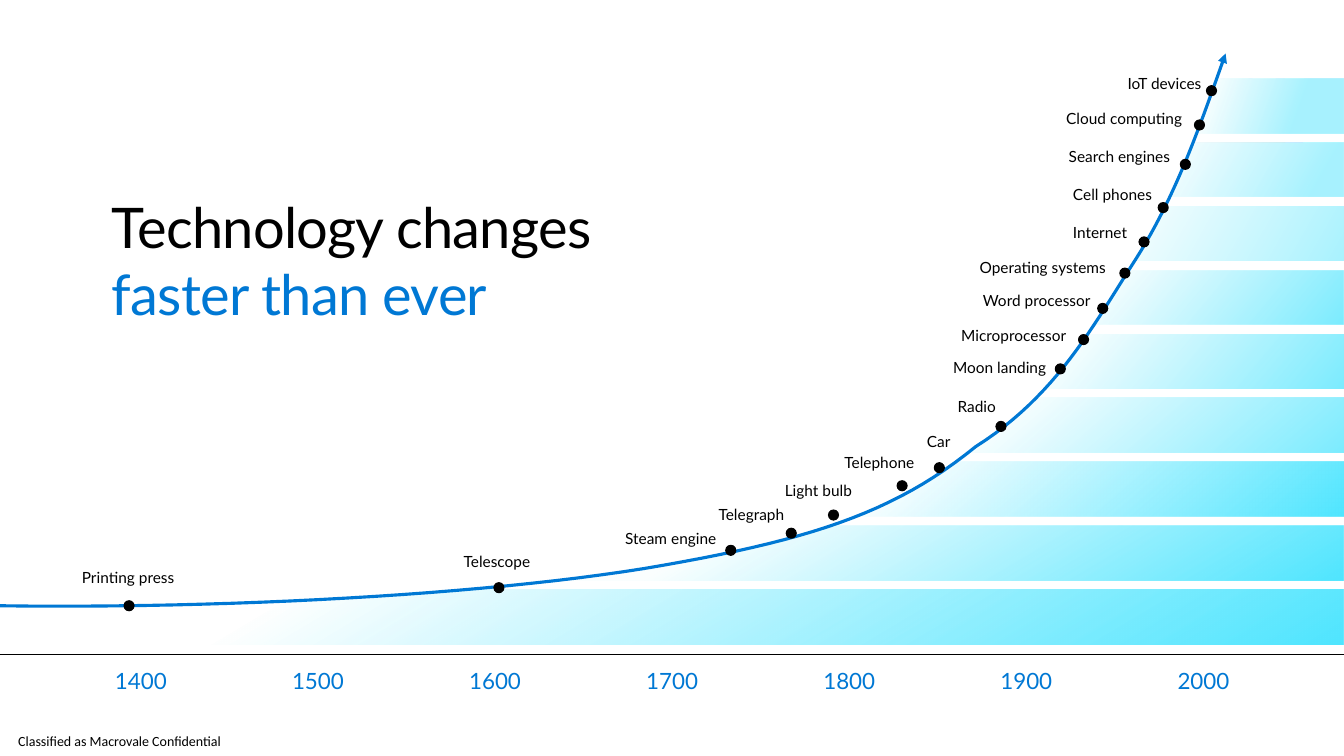
from dataclasses import dataclass

from lxml import etree
from pptx import Presentation
from pptx.dml.color import RGBColor
from pptx.enum import shapes, text
from pptx.oxml import ns
from pptx.util import Pt

WIDTH, HEIGHT = 960, 540
BLACK, BLUE, CYAN, WHITE = "000000", "0078D4", "50E6FF", "FFFFFF"
LEFT, CENTER, RIGHT = text.PP_ALIGN.LEFT, text.PP_ALIGN.CENTER, text.PP_ALIGN.RIGHT
BAR_TOP, BAR_PITCH, BAR_HEIGHT = 56.2, 45.63, 38.9
DOT_SIZE = 7.2
AXIS_Y = 467.3
CURVE_STEPS = 24


@dataclass
class Band:
    left: float
    angle: int
    start: int
    start_alpha: int
    stop: int
    stop_alpha: int


@dataclass
class Milestone:
    name: str
    dot_x: float
    dot_y: float
    label_x: float
    label_y: float
    label_width: float
    align: text.PP_ALIGN = RIGHT


@dataclass
class Span:
    words: str
    size: float
    color: str
    font: str = "Lato"
    spacing: int = 0


BANDS = [
    Band(851.8, 20, 15, 5, 68, 50),
    Band(834.5, 30, 7, 5, 83, 50),
    Band(810, 30, 0, 4, 100, 50),
    Band(779.5, 40, 9, 4, 100, 75),
    Band(747.4, 40, 9, 3, 100, 75),
    Band(687.4, 50, 14, 3, 100, 75),
    Band(609.1, 50, 11, 2, 100, 100),
    Band(373.7, 60, 23, 2, 100, 100),
    Band(0, 60, 21, 0, 100, 100),
]

MILESTONES = [
    Milestone("Printing press", 88.6, 429.1, 38.2, 406.1, 106.6, CENTER),
    Milestone("Telescope", 352.8, 416.2, 301.7, 394.6, 106.6, CENTER),
    Milestone("Steam engine", 518.4, 389.5, 439.2, 378, 79.9, CENTER),
    Milestone("Telegraph", 561.6, 377.3, 488.9, 360.7, 95.8, CENTER),
    Milestone("Light bulb", 591.8, 364.3, 551.5, 343.4, 66.2, CENTER),
    Milestone("Telephone", 640.8, 343.4, 598.3, 324, 59.8, CENTER),
    Milestone("Car", 667.4, 330.5, 656.6, 308.9, 22.3),
    Milestone("Radio", 711.4, 301, 676.1, 283.7, 35.3),
    Milestone("Moon landing", 753.8, 259.9, 659.5, 255.6, 87.8),
    Milestone("Microprocessor", 770.4, 239, 673.9, 232.6, 87.8),
    Milestone("Word processor", 784.1, 216.7, 691.2, 208.1, 87.8),
    Milestone("Operating systems", 799.9, 191.5, 687.6, 184.3, 102.4),
    Milestone("Internet", 813.6, 169.2, 735.1, 159.1, 70),
    Milestone("Cell phones", 827.3, 144.7, 750.2, 132.5, 72.7),
    Milestone("Search engines", 843.1, 113.8, 753.8, 105.1, 82.1),
    Milestone("Cloud computing", 853.2, 85.7, 756.7, 77.8, 87.8),
    Milestone("IoT devices", 861.8, 61.2, 770.4, 53.3, 87.8),
]

CURVE = [
    (0, 432.7), (162, 434.9), (344.2, 424.8), (460.1, 406.1),
    (576, 386.6), (637.9, 367.2), (697, 319),
    (755.3, 282.2), (781.2, 231.8), (811.4, 185),
    (841, 138.2), (857.5, 88.6), (875.5, 38.2),
]


def paint(color_format, value: str) -> None:
    color_format.rgb = RGBColor.from_string(value)


def style(shape, fill: str, line: str, weight: float) -> None:
    shape.shadow.inherit = False
    shape.fill.solid()
    paint(shape.fill.fore_color, fill)
    paint(shape.line.color, line)
    shape.line.width = Pt(weight)


def add_text(page, left: float, top: float, width: float, height: float,
             spans: list[Span], align: text.PP_ALIGN = LEFT,
             anchor: text.MSO_ANCHOR = text.MSO_ANCHOR.TOP) -> None:
    box = page.shapes.add_textbox(Pt(left), Pt(top), Pt(width), Pt(height))
    frame = box.text_frame
    frame.word_wrap = True
    frame.vertical_anchor = anchor
    frame.margin_left = frame.margin_right = frame.margin_top = frame.margin_bottom = 0
    para = frame.paragraphs[0]
    para.alignment = align
    for index, span in enumerate(spans):
        if index:
            para.add_line_break()
        run = para.add_run()
        run.text = span.words
        run.font.name = span.font
        run.font.size = Pt(span.size)
        paint(run.font.color, span.color)
        if span.spacing:
            run.font._element.set("spc", str(span.spacing))


def add_band(page, band: Band, top: float) -> None:
    shape = page.shapes.add_shape(shapes.MSO_SHAPE.RECTANGLE, Pt(band.left), Pt(top),
                                  Pt(WIDTH - band.left), Pt(BAR_HEIGHT))
    shape.shadow.inherit = False
    shape.line.fill.background()
    shape.fill.gradient()
    gradient = shape._element.spPr.find(ns.qn("a:gradFill"))
    for child in list(gradient):
        gradient.remove(child)
    stops = etree.SubElement(gradient, ns.qn("a:gsLst"))
    for position, alpha in ((band.start, band.start_alpha), (band.stop, band.stop_alpha)):
        stop = etree.SubElement(stops, ns.qn("a:gs"), pos=str(position * 1000))
        color = etree.SubElement(stop, ns.qn("a:srgbClr"), val=CYAN)
        etree.SubElement(color, ns.qn("a:alpha"), val=str(alpha * 1000))
    etree.SubElement(gradient, ns.qn("a:lin"), ang=str(band.angle * 60000), scaled="0")


def bezier(a: float, b: float, c: float, d: float, t: float) -> float:
    s = 1 - t
    return s**3 * a + 3 * s * s * t * b + 3 * s * t * t * c + t**3 * d


def add_curve(page, knots: list[tuple[float, float]]) -> None:
    points = []
    for first in range(0, len(knots) - 1, 3):
        xs, ys = zip(*knots[first:first + 4])
        for step in range(1, CURVE_STEPS + 1):
            t = step / CURVE_STEPS
            points.append((Pt(bezier(*xs, t)), Pt(bezier(*ys, t))))
    builder = page.shapes.build_freeform(Pt(knots[0][0]), Pt(knots[0][1]))
    builder.add_line_segments(points, close=False)
    curve = builder.convert_to_shape()
    style(curve, WHITE, BLUE, 2.25)
    outline = curve._element.spPr.find(ns.qn("a:ln"))
    etree.SubElement(outline, ns.qn("a:round"))
    etree.SubElement(outline, ns.qn("a:tailEnd"), type="triangle")


def add_axis(page) -> None:
    axis = page.shapes.add_connector(shapes.MSO_CONNECTOR.STRAIGHT,
                                     Pt(0), Pt(AXIS_Y), Pt(WIDTH), Pt(AXIS_Y))
    paint(axis.line.color, BLACK)
    axis.line.width = Pt(1)
    etree.SubElement(axis._element.spPr, ns.qn("a:effectLst"))


def add_milestone(page, item: Milestone) -> None:
    dot = page.shapes.add_shape(shapes.MSO_SHAPE.OVAL, Pt(item.dot_x), Pt(item.dot_y),
                                Pt(DOT_SIZE), Pt(DOT_SIZE))
    style(dot, BLACK, BLACK, 0.75)
    add_text(page, item.label_x, item.label_y, item.label_width, 16.6,
             [Span(item.name, 11, BLACK)], item.align)


def main() -> None:
    deck = Presentation()
    deck.slide_width, deck.slide_height = Pt(WIDTH), Pt(HEIGHT)
    page = deck.slides.add_slide(deck.slide_layouts[6])
    add_text(page, 13, 519.1, 154, 20.9,
             [Span("Classified as Macrovale Confidential", 10, BLACK, "Calibri")],
             anchor=text.MSO_ANCHOR.MIDDLE)
    add_text(page, 80, 137.5, 510.5, 97.2,
             [Span("Technology changes", 40, BLACK, spacing=-50),
              Span("faster than ever", 40, BLUE, spacing=-50)])
    for row, band in enumerate(BANDS):
        add_band(page, band, BAR_TOP + row * BAR_PITCH)
    add_curve(page, CURVE)
    add_axis(page)
    for item in MILESTONES:
        add_milestone(page, item)
    for index, year in enumerate(range(1400, 2001, 100)):
        add_text(page, 71.1 + index * 126.5, 476.6, 59, 19.4,
                 [Span(str(year), 16, BLUE)], CENTER)
    deck.save("out.pptx")


if __name__ == "__main__":
    main()
